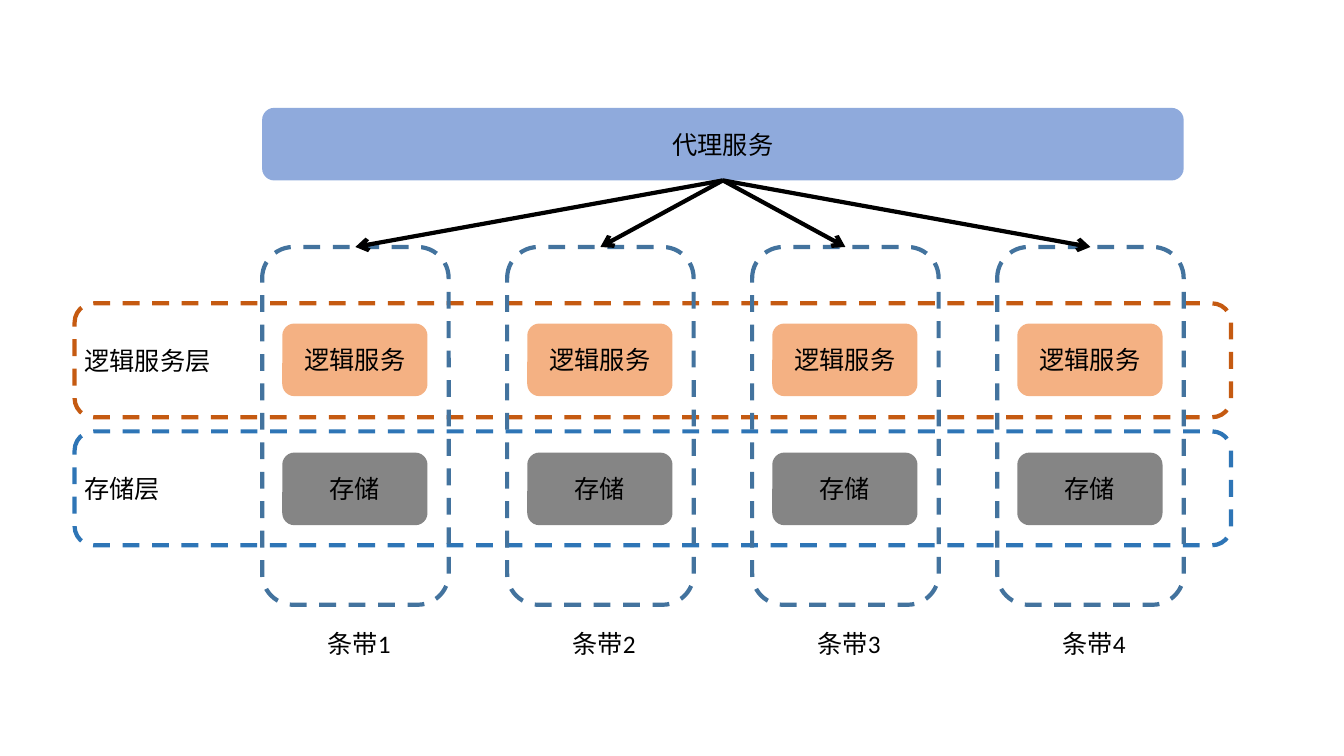
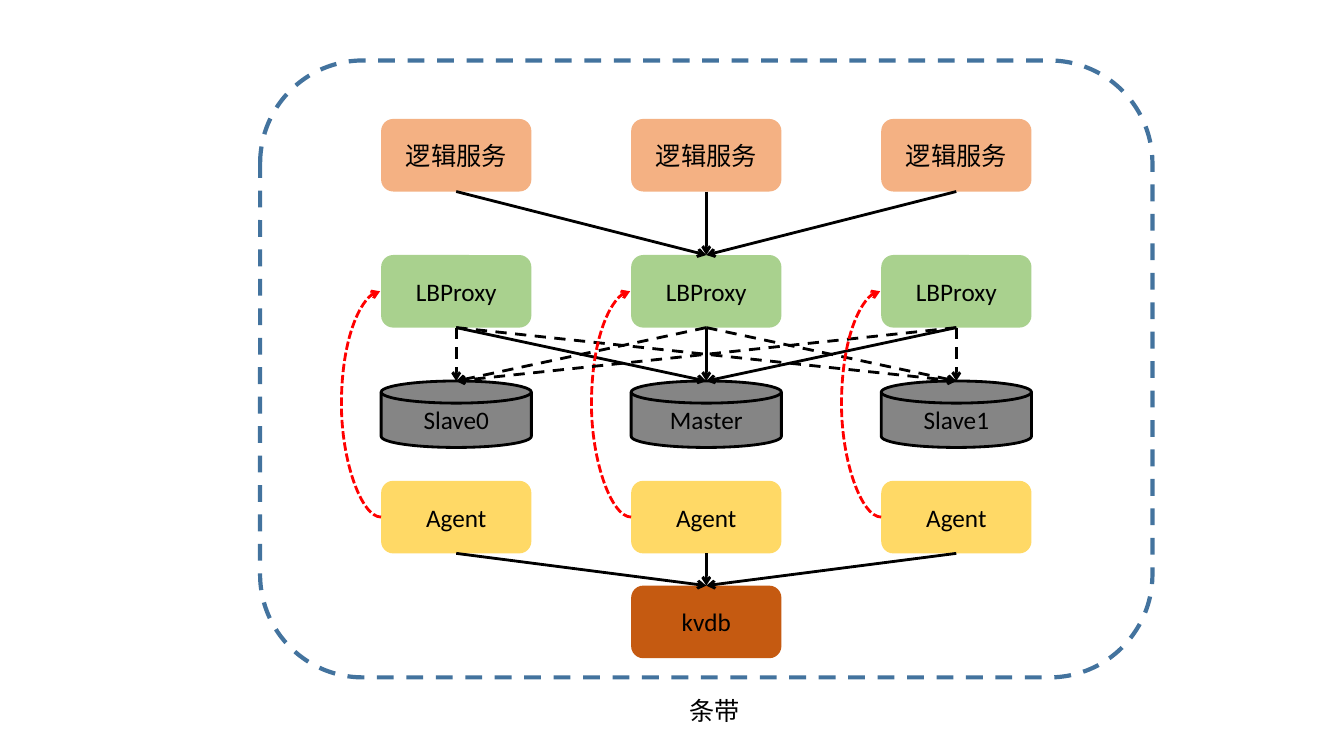
from dataclasses import dataclass

from lxml.etree import SubElement
from pptx import Presentation
from pptx.dml.color import RGBColor as RGB
from pptx.enum.dml import MSO_LINE as Dash
from pptx.enum.shapes import MSO_CONNECTOR as Link, MSO_SHAPE as Shape
from pptx.enum.text import MSO_ANCHOR as Anchor, PP_ALIGN as Align
from pptx.oxml.ns import qn
from pptx.util import Inches, Pt


@dataclass(frozen=True)
class Theme:
    font: str = "Calibri"
    size: int = 18
    thick: int = 3
    thin: int = 2
    ink: str = "000000"
    proxy: str = "8FAADC"
    logic: str = "F4B183"
    store: str = "525252"
    route: str = "A9D18E"
    agent: str = "FFD966"
    rust: str = "C55A11"
    blue: str = "2E75B6"
    stripe: str = "43739E"
    alert: str = "FF0000"


T = Theme()


def style(text, align):
    para = text.paragraphs[0]
    para.alignment = align
    for run in para.runs:
        run.font.name = T.font
        run.font.size = Pt(T.size)
        run.font.color.rgb = RGB.from_string(T.ink)


def stroke(line, color, width, dash=None):
    line.color.rgb = RGB.from_string(color)
    line.width = Pt(width)
    if dash:
        line.dash_style = dash


def outline(shapes, box, kind=Shape.ROUNDED_RECTANGLE):
    shape = shapes.add_shape(kind, *map(Inches, box))
    shape.shadow.inherit = False
    shape.fill.background()
    shape.line.fill.background()
    return shape


def frame(shapes, box, color):
    shape = outline(shapes, box)
    stroke(shape.line, color, T.thick, Dash.DASH)
    return shape


def block(shapes, box, text, color, alpha=100, kind=Shape.ROUNDED_RECTANGLE):
    shape = outline(shapes, box, kind)
    shape.fill.solid()
    shape.fill.fore_color.rgb = RGB.from_string(color)
    if alpha < 100:
        tint = shape._element.spPr.find(".//" + qn("a:srgbClr"))
        SubElement(tint, qn("a:alpha"), val=str(alpha * 1000))
    shape.text_frame.text = text
    shape.text_frame.vertical_anchor = Anchor.MIDDLE
    style(shape.text_frame, Align.CENTER)
    return shape


def disk(shapes, box, text):
    shape = block(shapes, box, text, T.store, 70, Shape.FLOWCHART_MAGNETIC_DISK)
    stroke(shape.line, T.ink, T.thin)
    return shape


def label(shapes, x, y, width, text):
    note = shapes.add_textbox(*map(Inches, (x, y, width, 0.4)))
    note.text_frame.word_wrap = True
    note.text_frame.text = text
    style(note.text_frame, Align.LEFT)


def finish(link, color, width, dash=None):
    """Give a connector its line and arrowhead, without a shadow."""
    stroke(link.line, color, width, dash)
    props = link._element.spPr
    SubElement(props.find(qn("a:ln")), qn("a:tailEnd"), type="arrow")
    SubElement(props, qn("a:effectLst"))


def arrow(shapes, start, end, width=T.thin, dash=None, glue=True):
    """Point from the bottom of start to the top of end."""
    tip = end.left + end.width // 2, end.top
    link = shapes.add_connector(Link.STRAIGHT, 0, 0, *tip)
    link.begin_connect(start, 2)
    if glue:
        link.end_connect(end, 0)
    finish(link, T.ink, width, dash)


def loop(shapes, start, end, bulge=0.4):
    """Curve out to the left, from the left side of start to that of end."""
    step = 0.01
    link = shapes.add_connector(Link.CURVE, 0, 0, 0, 0)
    link.begin_connect(start, 1)
    link.end_connect(end, 1)
    link.end_x = link.begin_x - Inches(step)
    shape = link._element.spPr.find(qn("a:prstGeom"))
    guides = shape.find(qn("a:avLst"))
    if guides is None:
        guides = SubElement(shape, qn("a:avLst"))
    ratio = round(bulge / step * 100000)
    SubElement(guides, qn("a:gd"), name="adj1", fmla=f"val {ratio}")
    finish(link, T.alert, T.thin, Dash.SQUARE_DOT)


def layer(shapes, box, text, color):
    x, y, _, high = box
    frame(shapes, box, color)
    label(shapes, x, y + (high - 0.4) / 2, 1.62, text)


def stripe(shapes, box, text):
    x, y, wide, high = box
    group = shapes.add_group_shape().shapes
    edge = frame(group, box, T.stripe)
    inner = x + 0.2, wide - 0.41
    block(group, (inner[0], y + 0.76, inner[1], 0.72), "逻辑服务", T.logic)
    block(group, (inner[0], y + 2.04, inner[1], 0.72), "存储", T.store, 70)
    label(shapes, x + 0.55, y + high + 0.18, 1.29, text)
    return edge


def overview(slide, box):
    x, y, wide, _ = box
    shapes = slide.shapes
    left, width, gap = x + 1.86, 1.85, 2.43
    proxy = block(shapes, (left, y, 9.14, 0.72), "代理服务", T.proxy)
    layer(shapes, (x, y + 1.94, wide, 1.13), "逻辑服务层", T.rust)
    layer(shapes, (x, y + 3.21, wide, 1.13), "存储层", T.blue)
    for i in range(4):
        area = left + i * gap, y + 1.38, width, 3.55
        edge = stripe(shapes, area, f"条带{i + 1}")
        arrow(shapes, proxy, edge, T.thick)


def detail(slide, box):
    x, y, wide, high = box
    shapes = slide.shapes
    frame(shapes, box, T.stripe)
    label(shapes, x + 4.16, y + high + 0.13, 1.29, "条带")

    def cell(col, top, tall=0.72):
        return x + 1.2 + col * 2.48, y + top, 1.49, tall

    cols = range(3)
    logics = [block(shapes, cell(i, 0.58), "逻辑服务", T.logic) for i in cols]
    routes = [block(shapes, cell(i, 1.93), "LBProxy", T.route) for i in cols]
    names = "Slave0", "Master", "Slave1"
    disks = [disk(shapes, cell(i, 3.18, 0.66), names[i]) for i in cols]
    agents = [block(shapes, cell(i, 4.17), "Agent", T.agent) for i in cols]
    config = block(shapes, cell(1, 5.21), "kvdb", T.rust)

    for logic, route, agent in zip(logics, routes, agents):
        arrow(shapes, logic, routes[1])
        for i, store in enumerate(disks):
            dash = None if i == 1 else Dash.DASH
            arrow(shapes, route, store, dash=dash, glue=False)
        loop(shapes, agent, route)
        arrow(shapes, agent, config)


def main():
    deck = Presentation()
    deck.slide_width, deck.slide_height = Inches(13.33), Inches(7.5)
    blank = deck.slide_layouts[6]
    overview(deck.slides.add_slide(blank), (0.74, 1.07, 11.47, 5.51))
    detail(deck.slides.add_slide(blank), (2.58, 0.6, 8.85, 6.12))
    deck.save("out.pptx")


if __name__ == "__main__":
    main()
